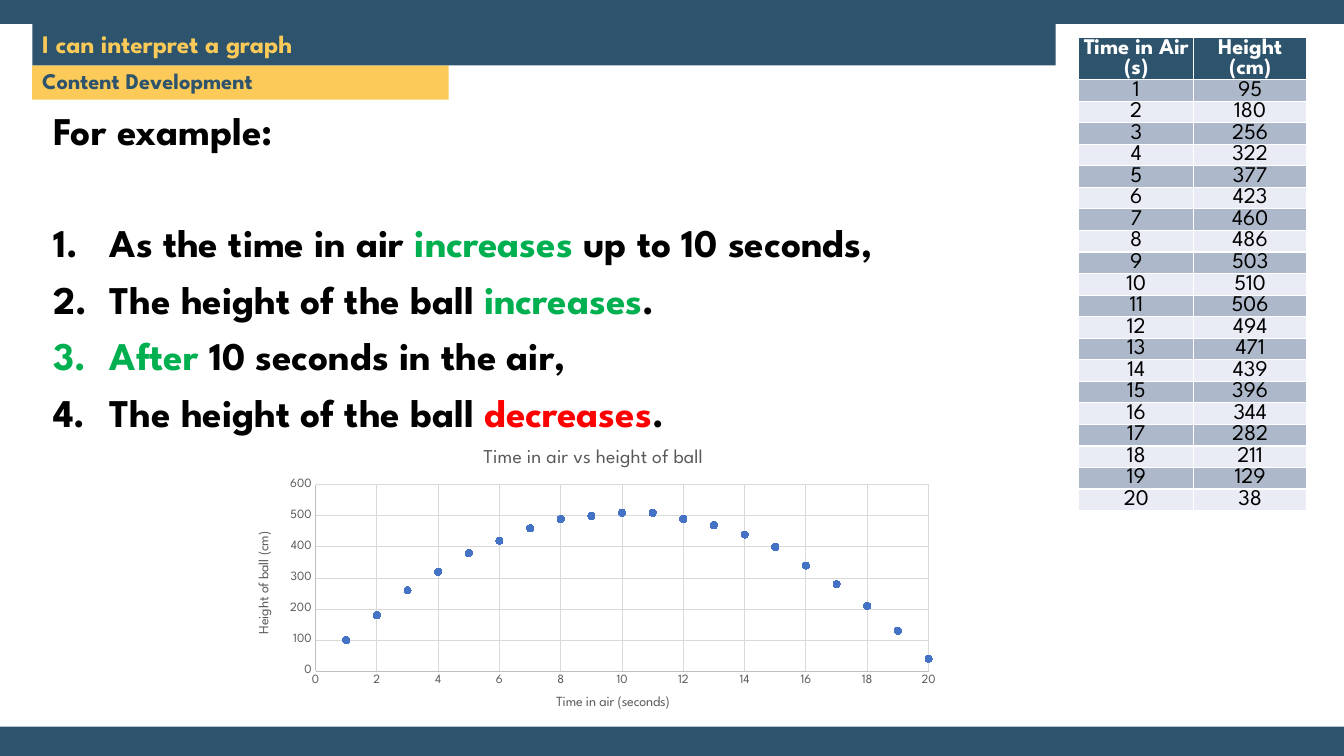
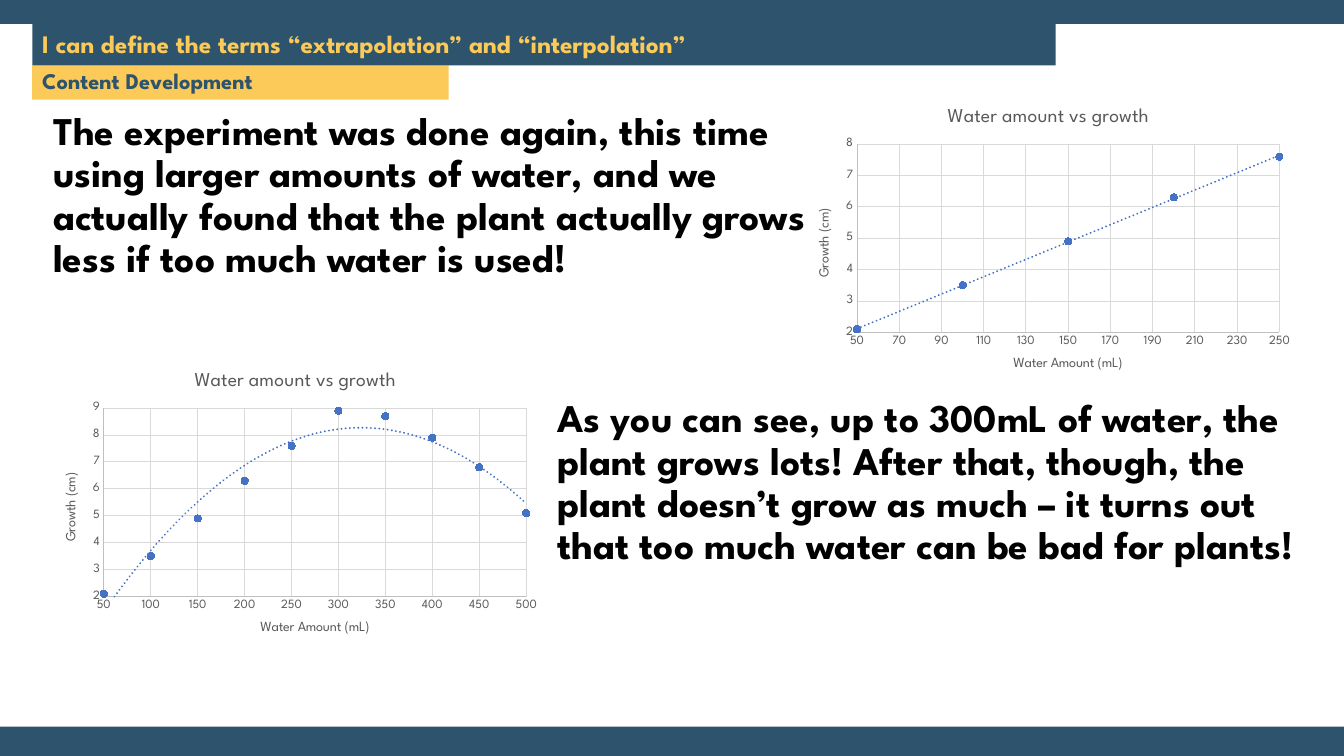
from lxml import etree
from pptx import Presentation
from pptx.chart.data import XyChartData
from pptx.dml.color import RGBColor
from pptx.enum.chart import XL_CHART_TYPE, XL_MARKER_STYLE, XL_TICK_MARK
from pptx.enum.shapes import MSO_SHAPE
from pptx.enum.text import MSO_ANCHOR, PP_ALIGN
from pptx.oxml import parse_xml
from pptx.oxml.ns import nsdecls, qn
from pptx.util import Inches, Pt

FONT = "League Spartan"
COLORS = {
    "navy": "2E546D", "gold": "FBCA58", "white": "FFFFFF", "black": "000000",
    "green": "00B050", "red": "FF0000", "odd": "ADB9CA", "even": "E9EBF5",
    "dot": "4472C4", "label": "595959", "axis": "BFBFBF", "grid": "D9D9D9",
}
HEIGHTS = [95, 180, 256, 322, 377, 423, 460, 486, 503, 510,
           506, 494, 471, 439, 396, 344, 282, 211, 129, 38]
GROWTH = [2.1, 3.5, 4.9, 6.3, 7.6, 8.9, 8.7, 7.9, 6.8, 5.1]
WATER = range(50, 501, 50)


def rgb(name):
    return RGBColor.from_string(COLORS[name])


def style(font, size, color, bold=False):
    font.name, font.size, font.bold = FONT, Pt(size), bold
    font.color.rgb = rgb(color)


def add_bar(slide, box, fill, text="", size=16, color="navy"):
    """Plain rectangle, with a bold label if text is given."""
    bar = slide.shapes.add_shape(MSO_SHAPE.RECTANGLE, *map(Inches, box))
    bar.shadow.inherit = False
    bar.fill.solid()
    bar.fill.fore_color.rgb = rgb(fill)
    bar.line.fill.background()
    if text:
        frame = bar.text_frame
        frame.vertical_anchor = MSO_ANCHOR.MIDDLE
        para = frame.paragraphs[0]
        para.alignment = PP_ALIGN.LEFT
        para.line_spacing = 0.9
        para.text = text
        style(para.font, size, color, True)


def add_base(deck, title):
    """Blank slide with the shared bands, title and tag."""
    slide = deck.slides.add_slide(deck.slide_layouts[6])
    add_bar(slide, (0, 0, 13.33, 7.5), "navy")
    add_bar(slide, (0, 0.24, 13.33, 6.97), "white")
    add_bar(slide, (0.32, 0.65, 4.13, 0.34), "gold", "Content Development")
    add_bar(slide, (0.32, 0.24, 10.15, 0.41), "navy", title, 18, "gold")
    return slide


def number(para):
    """Automatic number with a hanging indent."""
    props = para._p.get_or_add_pPr()
    props.set("marL", str(Inches(0.56)))
    props.set("indent", str(-Inches(0.56)))
    etree.SubElement(props, qn("a:buFont"), typeface="+mj-lt")
    etree.SubElement(props, qn("a:buAutoNum"), type="arabicPeriod")


def add_text(slide, box, lead, items=()):
    """Lead paragraph, then numbered items made of (text, color) runs."""
    frame = slide.shapes.add_textbox(*map(Inches, box)).text_frame
    frame.word_wrap = True
    para = frame.paragraphs[0]
    para.text = lead
    para.line_spacing = 0.9
    style(para.font, 28, "black", True)
    for i, item in enumerate(items):
        para = frame.add_paragraph()
        number(para)
        para.line_spacing = 0.9
        para.space_before = Pt(10 if i else 50)
        for text, color in item:
            run = para.add_run()
            run.text = text
            style(run.font, 28, color, True)


def add_borders(cell):
    """White one-point lines, placed ahead of the cell fill."""
    props = cell._tc.get_or_add_tcPr()
    for i, side in enumerate(("lnL", "lnR", "lnT", "lnB")):
        props.insert(i, parse_xml(
            f'<a:{side} {nsdecls("a")} w="12700"><a:solidFill>'
            f'<a:srgbClr val="{COLORS["white"]}"/></a:solidFill></a:{side}>'))


def add_data(slide, left, top, widths, rows):
    """Two-line header over banded data rows."""
    head, body = Inches(0.42), Inches(4.28)
    shape = slide.shapes.add_table(
        len(rows), len(widths), Inches(left), Inches(top),
        Inches(sum(widths)), head + body)
    table = shape.table
    for col, width in zip(table.columns, widths):
        col.width = Inches(width)
    for r, row in enumerate(rows):
        table.rows[r].height = body // (len(rows) - 1) if r else head
        fill = ("even", "odd")[r % 2] if r else "navy"
        for c, value in enumerate(row):
            cell = table.cell(r, c)
            cell.margin_left = cell.margin_right = Inches(0.01)
            cell.margin_top, cell.margin_bottom = Inches(0.01), 0
            cell.vertical_anchor = MSO_ANCHOR.MIDDLE
            cell.fill.solid()
            cell.fill.fore_color.rgb = rgb(fill)
            add_borders(cell)
            para = cell.text_frame.paragraphs[0]
            para.text = str(value)
            para.alignment = PP_ALIGN.CENTER
            para.line_spacing = Pt(14.4)
            style(para.font, 16, "black" if r else "white", not r)


def set_title(owner, text, size):
    frame = (owner.chart_title if hasattr(owner, "chart_title")
             else owner.axis_title).text_frame
    frame.text = text
    style(frame.paragraphs[0].font, size, "label")
    return frame


def set_axis(axis, text, low, high, step):
    axis.minimum_scale, axis.maximum_scale = low, high
    axis.major_unit = step
    axis.major_tick_mark = axis.minor_tick_mark = XL_TICK_MARK.NONE
    axis.has_major_gridlines = True
    for line, color in ((axis.format.line, "axis"),
                        (axis.major_gridlines.format.line, "grid")):
        line.color.rgb = rgb(color)
        line.width = Pt(0.75)
    style(axis.tick_labels.font, 9, "label")
    return set_title(axis, text, 10)


def set_plot(chart, box, inset):
    """Fix the inner plot area; margins are in inches."""
    width, height = box[2:]
    top, right, bottom = 0.52, 0.21, 0.61
    sizes = {"x": inset / width, "y": top / height,
             "w": (width - inset - right) / width,
             "h": (height - top - bottom) / height}
    area = chart._chartSpace.chart.plotArea
    for old in area.findall(qn("c:layout")):
        area.remove(old)
    layout = etree.Element(qn("c:layout"))
    manual = etree.SubElement(layout, qn("c:manualLayout"))
    etree.SubElement(manual, qn("c:layoutTarget"), val="inner")
    for key in "xy":
        etree.SubElement(manual, qn(f"c:{key}Mode"), val="edge")
    for key, size in sizes.items():
        etree.SubElement(manual, qn(f"c:{key}"), val=f"{size:.4f}")
    area.insert(0, layout)


def add_trend(series, kind):
    order = '<c:order val="2"/>' if kind == "poly" else ""
    trend = parse_xml(
        f'<c:trendline {nsdecls("c", "a")}><c:spPr><a:ln w="19050" cap="rnd">'
        f'<a:solidFill><a:srgbClr val="{COLORS["dot"]}"/></a:solidFill>'
        f'<a:prstDash val="sysDot"/></a:ln></c:spPr>'
        f'<c:trendlineType val="{kind}"/>{order}'
        f'<c:dispRSqr val="0"/><c:dispEq val="0"/></c:trendline>')
    series._element.find(qn("c:xVal")).addprevious(trend)


def add_plot(slide, box, title, points, across, up, inset=0.6, trend=None):
    """Scatter chart; across and up are (title, low, high, step)."""
    data = XyChartData()
    dots = data.add_series("Series 1")
    for x, y in points:
        dots.add_data_point(x, y)
    chart = slide.shapes.add_chart(
        XL_CHART_TYPE.XY_SCATTER, *map(Inches, box), data).chart
    chart.has_legend = False
    style(chart.font, 10, "black")
    chart.has_title = True
    set_title(chart, title, 14)
    chart.chart_title.include_in_layout = False
    set_axis(chart.category_axis, *across)
    frame = set_axis(chart.value_axis, *up)
    frame._txBody.bodyPr.set("rot", "-5400000")
    set_plot(chart, box, inset)
    chart.plots[0].vary_by_categories = False
    series = chart.plots[0].series[0]
    series.smooth = False
    series.format.line.fill.background()
    mark = series.marker
    mark.style, mark.size = XL_MARKER_STYLE.CIRCLE, 5
    mark.format.fill.solid()
    mark.format.fill.fore_color.rgb = rgb("dot")
    mark.format.line.color.rgb = rgb("dot")
    if trend:
        add_trend(series, trend)


def add_ball(deck):
    """Slide on reading a graph."""
    slide = add_base(deck, "I can interpret a graph")
    add_text(slide, (0.43, 1.06, 9.93, 2.06), "For example:", [
        [("As the time in air ", "black"), ("increases", "green"),
         (" up to 10 seconds,", "black")],
        [("The height of the ball ", "black"), ("increases", "green"),
         (".", "black")],
        [("After", "green"), (" 10 seconds in the air,", "black")],
        [("The height of the ball ", "black"), ("decreases", "red"),
         (".", "black")],
    ])
    rows = list(enumerate(HEIGHTS, 1))
    add_data(slide, 10.7, 0.37, (1.14, 1.12),
             [("Time in Air (s)", "Height (cm)")] + rows)
    # The graph can be read to the nearest ten
    points = [(time, round(height, -1)) for time, height in rows]
    add_plot(slide, (2.35, 4.29, 7.07, 2.98), "Time in air vs height of ball",
             points, ("Time in air (seconds)", 0, 20, 2),
             ("Height of ball (cm)", 0, 600, 100), inset=0.78)


def add_plant(deck):
    """Slide on plant growth, with two trend lines."""
    slide = add_base(
        deck, "I can define the terms “extrapolation” and “interpolation”")
    points = list(zip(WATER, GROWTH))
    for left, top, count, step, high, trend in (
            (7.9, 0.91, 5, 20, 8, "linear"), (0.43, 3.53, 10, 50, 9, "poly")):
        add_plot(slide, (left, top, 5, 3), "Water amount vs growth",
                 points[:count],
                 ("Water Amount (mL)", 50, WATER[count - 1], step),
                 ("Growth (cm)", 2, high, 1), trend=trend)
    add_text(slide, (0.43, 1.06, 7.71, 2.06),
             "The experiment was done again, this time using larger amounts "
             "of water, and we actually found that the plant actually grows "
             "less if too much water is used!")
    add_text(slide, (5.43, 3.91, 7.71, 2.06),
             "As you can see, up to 300mL of water, the plant grows lots! "
             "After that, though, the plant doesn’t grow as much – it turns "
             "out that too much water can be bad for plants!")


def main():
    deck = Presentation()
    deck.slide_width, deck.slide_height = Inches(13.33), Inches(7.5)
    add_ball(deck)
    add_plant(deck)
    deck.save("out.pptx")


if __name__ == "__main__":
    main()
